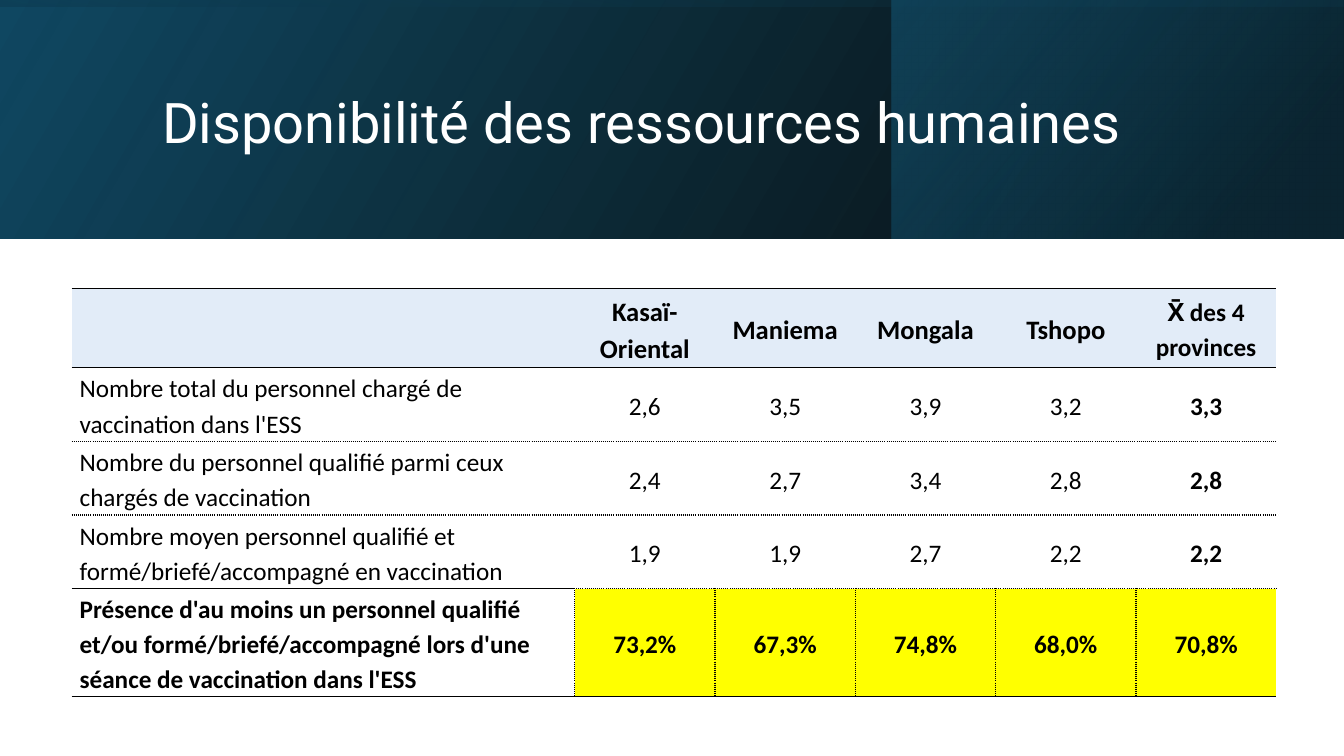
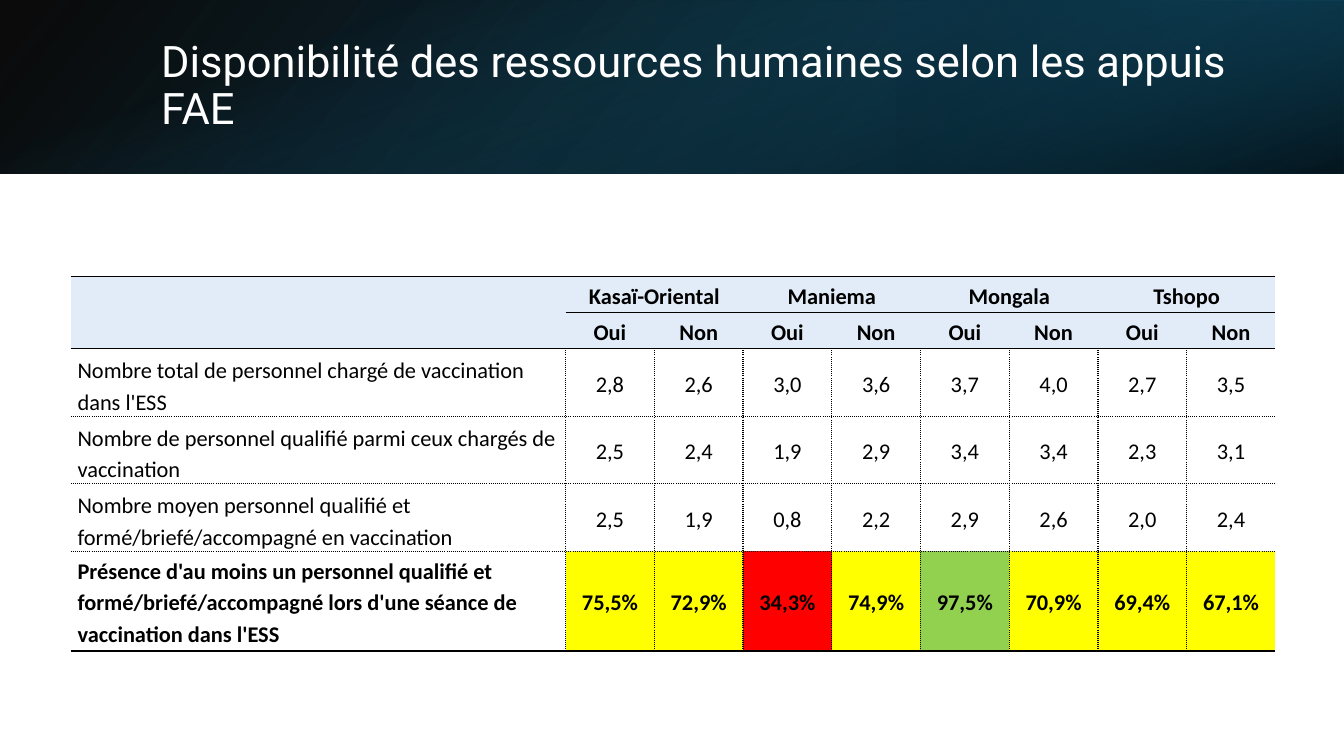
"""Build two slides on health staff, each with a dark band and a table."""
from lxml import etree
from pptx import Presentation
from pptx.dml.color import RGBColor
from pptx.enum.shapes import MSO_SHAPE
from pptx.enum.text import MSO_ANCHOR, PP_ALIGN
from pptx.oxml.ns import qn
from pptx.util import Inches, Pt

RECT = MSO_SHAPE.RECTANGLE
MID, LOW = MSO_ANCHOR.MIDDLE, MSO_ANCHOR.BOTTOM
LEFT, MIDST = PP_ALIGN.LEFT, PP_ALIGN.CENTER

THEME = {
    "white": "FFFFFF", "black": "000000", "head": "E2ECF8",
    "yellow": "FFFF00", "red": "FF0000", "green": "92D050",
    "navy": "0B3041", "deep": "104862", "teal": "156082",
    "title": "Roboto", "body": "Calibri",
    "plain": "{2D5ABB26-0587-4C30-8999-92F81FD0307C}",
}
WIDE, HIGH = 13.33, 7.5
SPAN = 11.95

SLIDES = [
    {
        "title": "Disponibilité des ressources humaines",
        "size": 40, "box": (1.51, 0.38, 10.63, 1.72),
        "bands": [
            {"box": (0, 0, WIDE, 2.37), "turn": 0, "flip": True, "angle": 330,
             "stops": [(0, "black", 96), (100, "deep", 100)]},
            {"box": (8.84, 0, 4.48, 2.37), "turn": 0, "flip": True, "angle": 320,
             "stops": [(19, "navy", 68), (100, "teal", 48)]},
            {"box": (5.48, -5.48, 2.37, WIDE), "turn": 270, "flip": True, "angle": 350,
             "stops": [(23, "deep", 16), (99, "black", 45)]},
        ],
        "at": (0.71, 2.86), "first": 4.99, "pad": 0.08,
        "rows": [0.79, 0.73, 0.73, 0.73, 1.07],
        "heads": 1, "merge": [], "grid": 4, "anchor": MID,
        "sizes": (19, 18), "mean": True,
        "fills": ["yellow"] * 5,
        "cells": [
            ["", "Kasaï-Oriental", "Maniema", "Mongala", "Tshopo", "X̄ des 4 provinces"],
            ["Nombre total du personnel chargé de vaccination dans l'ESS",
             "2,6", "3,5", "3,9", "3,2", "3,3"],
            ["Nombre du personnel qualifié parmi ceux chargés de vaccination",
             "2,4", "2,7", "3,4", "2,8", "2,8"],
            ["Nombre moyen personnel qualifié et formé/briefé/accompagné en vaccination",
             "1,9", "1,9", "2,7", "2,2", "2,2"],
            ["Présence d'au moins un personnel qualifié et/ou formé/briefé/accompagné "
             "lors d'une séance de vaccination dans l'ESS",
             "73,2%", "67,3%", "74,8%", "68,0%", "70,8%"],
        ],
    },
    {
        "title": "Disponibilité des ressources humaines selon les appuis FAE",
        "size": 31, "box": (1.5, 0.38, 10.98, 0.96),
        "bands": [
            {"box": (0, 0, WIDE, 1.72), "turn": 0, "flip": True, "angle": 140,
             "stops": [(0, "black", 96), (100, "deep", 100)]},
            {"box": (8.89, 0, 4.44, 1.72), "turn": 180, "flip": True, "angle": 320,
             "stops": [(19, "navy", 68), (100, "teal", 79)]},
            {"box": (5.8, -5.8, 1.72, WIDE), "turn": 90, "flip": False, "angle": 340,
             "stops": [(23, "teal", 0), (99, "black", 74)]},
        ],
        "at": (0.7, 2.74), "first": 4.91, "pad": 0.07,
        "rows": [0.36, 0.36, 0.67, 0.67, 0.67, 0.99],
        "heads": 2, "grid": 2, "anchor": LOW,
        "merge": [(0, 0, 1, 0)] + [(0, c, 0, c + 1) for c in range(1, 9, 2)],
        "sizes": (16, 16), "mean": False,
        "fills": ["yellow", "yellow", "red", "yellow", "green"] + ["yellow"] * 3,
        "cells": [
            ["", "Kasaï-Oriental", "", "Maniema", "", "Mongala", "", "Tshopo", ""],
            [""] + ["Oui", "Non"] * 4,
            ["Nombre total de personnel chargé de vaccination dans l'ESS",
             "2,8", "2,6", "3,0", "3,6", "3,7", "4,0", "2,7", "3,5"],
            ["Nombre de personnel qualifié parmi ceux chargés de vaccination",
             "2,5", "2,4", "1,9", "2,9", "3,4", "3,4", "2,3", "3,1"],
            ["Nombre moyen personnel qualifié et formé/briefé/accompagné en vaccination",
             "2,5", "1,9", "0,8", "2,2", "2,9", "2,6", "2,0", "2,4"],
            ["Présence d'au moins un personnel qualifié et formé/briefé/accompagné "
             "lors d'une séance de vaccination dans l'ESS",
             "75,5%", "72,9%", "34,3%", "74,9%", "97,5%", "70,9%", "69,4%", "67,1%"],
        ],
    },
]


def paint(fill, name):
    fill.solid()
    fill.fore_color.rgb = RGBColor.from_string(THEME[name])


def write(frame, text, color, para, font):
    p = frame.paragraphs[0]
    for key, value in para.items():
        setattr(p, key, value)
    run = p.add_run()
    run.text = text
    for key, value in font.items():
        setattr(run.font, key, value)
    run.font.color.rgb = RGBColor.from_string(THEME[color])


def node(root, tag, **attrs):
    return etree.SubElement(root, qn(tag), {k: str(v) for k, v in attrs.items()})


def add_band(slide, band):
    shape = slide.shapes.add_shape(RECT, *map(Inches, band["box"]))
    shape.shadow.inherit = False
    shape.line.fill.background()
    shape.rotation = band["turn"]
    props = shape.element.spPr
    if band["flip"]:
        props.find(qn("a:xfrm")).set("flipH", "1")
    grad = etree.Element(qn("a:gradFill"), rotWithShape="1")
    stops = node(grad, "a:gsLst")
    for pos, name, alpha in band["stops"]:
        stop = node(stops, "a:gs", pos=pos * 1000)
        color = node(stop, "a:srgbClr", val=THEME[name])
        node(color, "a:alpha", val=alpha * 1000)
    node(grad, "a:lin", ang=band["angle"] * 60000, scaled=0)
    props.find(qn("a:prstGeom")).addnext(grad)


def add_title(slide, data):
    frame = slide.shapes.add_textbox(*map(Inches, data["box"])).text_frame
    frame.word_wrap = True
    frame.vertical_anchor = MID
    write(frame, data["title"], "white", {"line_spacing": 0.9},
          {"size": Pt(data["size"]), "name": THEME["title"]})


def edges(data, r, c):
    last, end = len(data["rows"]) - 1, len(data["cells"][0]) - 1
    heads, grid = data["heads"], r >= data["grid"]
    mark = data["mean"] and c == 0
    found = {}
    if grid and c > 0:
        found["L"] = "dot"
    if grid and c < end:
        found["R"] = "dot"
    found["T"] = "solid" if r <= heads or (mark and r == last) else "dot"
    firm = r < heads or r == last or (mark and r == last - 1)
    found["B"] = "solid" if firm else "dot"
    return found


def add_edges(cell, found):
    props = cell._tc.get_or_add_tcPr()
    for side, dash in found.items():
        line = node(props, "a:ln" + side, w=Pt(1))
        node(node(line, "a:solidFill"), "a:srgbClr", val=THEME["black"])
        node(line, "a:prstDash", val=dash)


def fill_cell(cell, data, r, c):
    text = data["cells"][r][c]
    last, end = len(data["rows"]) - 1, len(data["cells"][0]) - 1
    head, final, mean = r < data["heads"], r == last, data["mean"] and c == end
    label = c == 0 and not head
    pad = Inches(data["pad"])
    form = {"margin_left": pad, "margin_right": pad, "margin_top": 0, "margin_bottom": 0,
            "vertical_anchor": data["anchor"] if label and not final else MID}
    for key, value in form.items():
        setattr(cell, key, value)
    add_edges(cell, edges(data, r, c))
    if head:
        paint(cell.fill, "head")
    elif final and c:
        paint(cell.fill, data["fills"][c - 1])
    else:
        cell.fill.background()
    if text:
        size = data["sizes"][0 if head and not mean else 1]
        write(cell.text_frame, text, "black",
              {"alignment": LEFT if label else MIDST, "line_spacing": 1.15,
               "space_after": Pt(8)},
              {"size": Pt(size), "name": THEME["body"], "bold": head or final or mean})


def add_grid(slide, data):
    rows, count = data["rows"], len(data["cells"][0])
    box = map(Inches, (*data["at"], SPAN, sum(rows)))
    table = slide.shapes.add_table(len(rows), count, *box).table
    table.first_row = table.horz_banding = False
    table._tbl.tblPr.find(qn("a:tableStyleId")).text = THEME["plain"]
    rest = (SPAN - data["first"]) / (count - 1)
    for c, column in enumerate(table.columns):
        column.width = Inches(rest if c else data["first"])
    for r, row in enumerate(table.rows):
        row.height = Inches(rows[r])
        for c in range(count):
            fill_cell(table.cell(r, c), data, r, c)
    for top, left, base, right in data["merge"]:
        table.cell(top, left).merge(table.cell(base, right))


def main():
    deck = Presentation()
    deck.slide_width, deck.slide_height = Inches(WIDE), Inches(HIGH)
    for data in SLIDES:
        slide = deck.slides.add_slide(deck.slide_layouts[6])
        paint(slide.background.fill, "white")
        for band in data["bands"]:
            add_band(slide, band)
        add_title(slide, data)
        add_grid(slide, data)
    deck.save("out.pptx")


if __name__ == "__main__":
    main()
